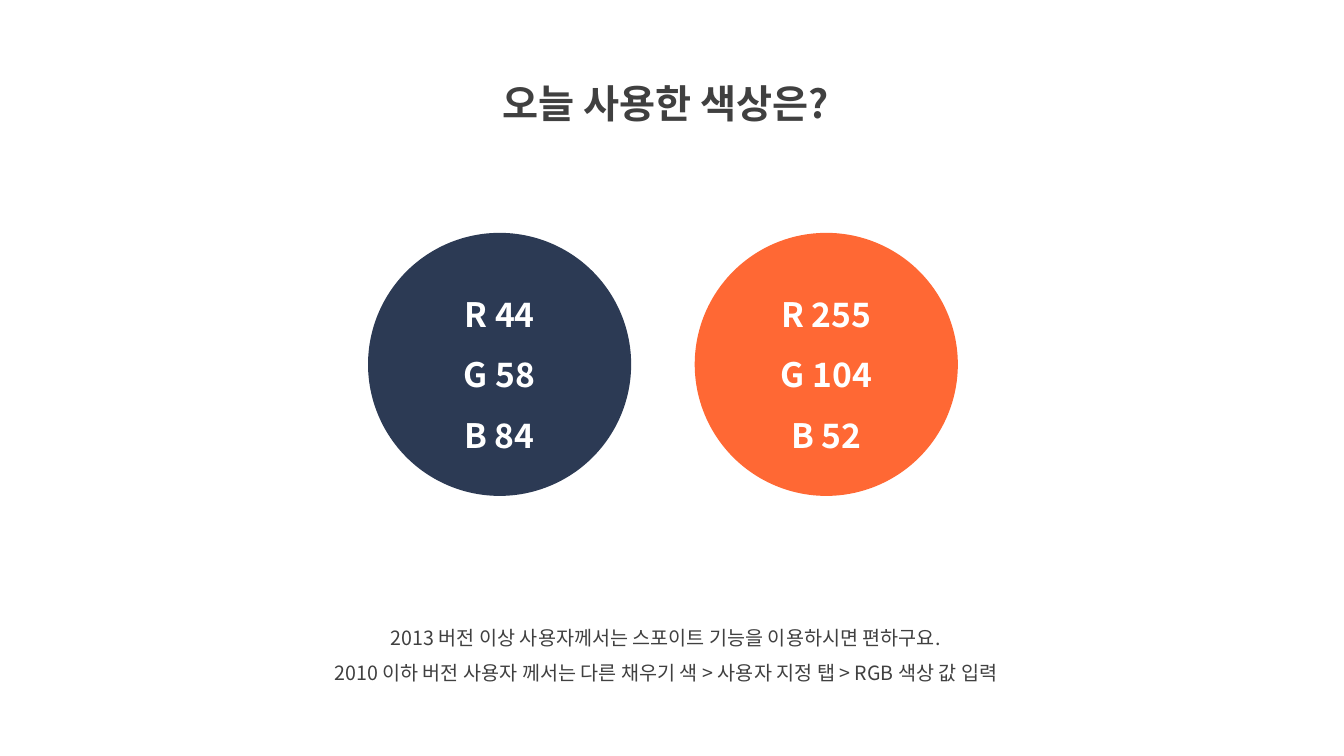
from pptx import Presentation
from pptx.dml.color import RGBColor
from pptx.enum.shapes import MSO_SHAPE as Shape
from pptx.enum.text import MSO_ANCHOR as Anchor, MSO_AUTO_SIZE as AutoSize, PP_ALIGN as Align
from pptx.oxml.ns import qn
from pptx.util import Inches, Pt

FONT = "Noto Sans CJK KR"
DARK_GRAY = "404040"
WHITE = "FFFFFF"


def color(hex_code):
    """Turn a hex string into a colour."""
    return RGBColor.from_string(hex_code)


def write_text(frame, text, size=14, hex_code=DARK_GRAY, bold=False, spacing=1.5):
    """Fill a text frame with centred lines in one format."""
    frame.word_wrap = True
    frame.text = text
    for paragraph in frame.paragraphs:
        paragraph.alignment = Align.CENTER
        paragraph.line_spacing = spacing
        for run in paragraph.runs:
            run.font.name = FONT
            run.font.size = Pt(size)
            run.font.bold = bold
            run.font.color.rgb = color(hex_code)
            east_asian = run.font._element.makeelement(qn("a:ea"), {"typeface": FONT})
            run.font._element.find(qn("a:latin")).addnext(east_asian)


def add_caption(slide, box, text, **text_format):
    """Add a text box that grows with its text."""
    frame = slide.shapes.add_textbox(*map(Inches, box)).text_frame
    write_text(frame, text, **text_format)
    frame.auto_size = AutoSize.SHAPE_TO_FIT_TEXT


def add_swatch(slide, box, rgb):
    """Add a circle filled with a colour and labelled with its RGB values."""
    circle = slide.shapes.add_shape(Shape.OVAL, *map(Inches, box))
    circle.shadow.inherit = False
    circle.fill.solid()
    circle.fill.fore_color.rgb = color("".join(f"{value:02X}" for value in rgb))
    circle.line.fill.background()
    circle.text_frame.vertical_anchor = Anchor.MIDDLE
    label = "\n".join(f"{channel} {value}" for channel, value in zip("RGB", rgb))
    write_text(circle.text_frame, label, size=24, hex_code=WHITE, bold=True)


def add_palette(slide, box, palette, gap):
    """Place the swatches in a row with equal gaps."""
    left, top, width, height = box
    diameter = (width - gap * (len(palette) - 1)) / len(palette)
    for index, rgb in enumerate(palette):
        swatch_left = left + index * (diameter + gap)
        add_swatch(slide, (swatch_left, top, diameter, height), rgb)


def build_color_slide(presentation):
    """Build the slide that shows the colours used today."""
    slide = presentation.slides.add_slide(presentation.slide_layouts[6])
    add_caption(slide, (4.29, 0.5, 4.63, 0.72), "오늘 사용한 색상은?", size=28, bold=True)
    add_palette(slide, (3.65, 2.31, 5.85, 2.61), [(44, 58, 84), (255, 104, 52)], gap=0.63)
    guide = (
        "2013 버전 이상 사용자께서는 스포이트 기능을 이용하시면 편하구요.\n"
        "2010 이하 버전 사용자 께서는 다른 채우기 색 > 사용자 지정 탭 > RGB 색상 값 입력"
    )
    add_caption(slide, (2.61, 6.04, 7.99, 0.81), guide)


presentation = Presentation()
presentation.slide_width = Inches(13.33)
presentation.slide_height = Inches(7.5)
build_color_slide(presentation)
presentation.save("out.pptx")
